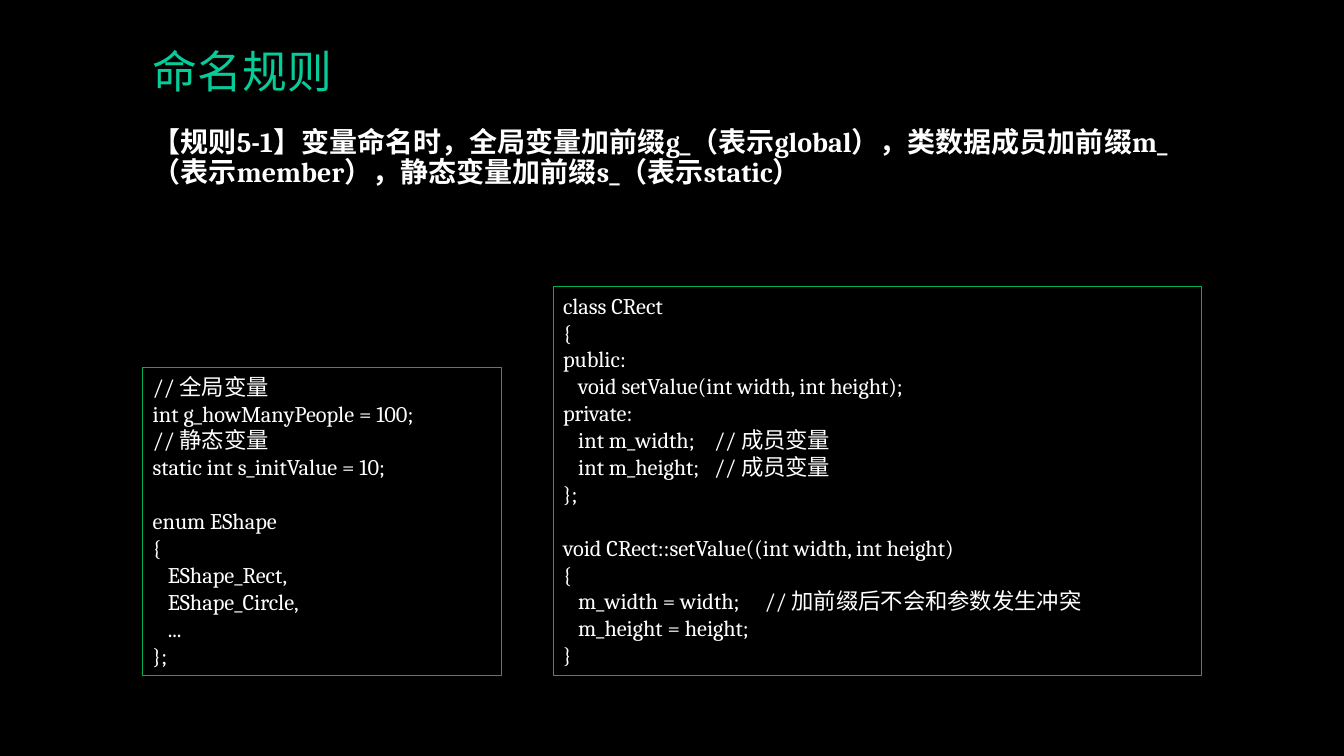
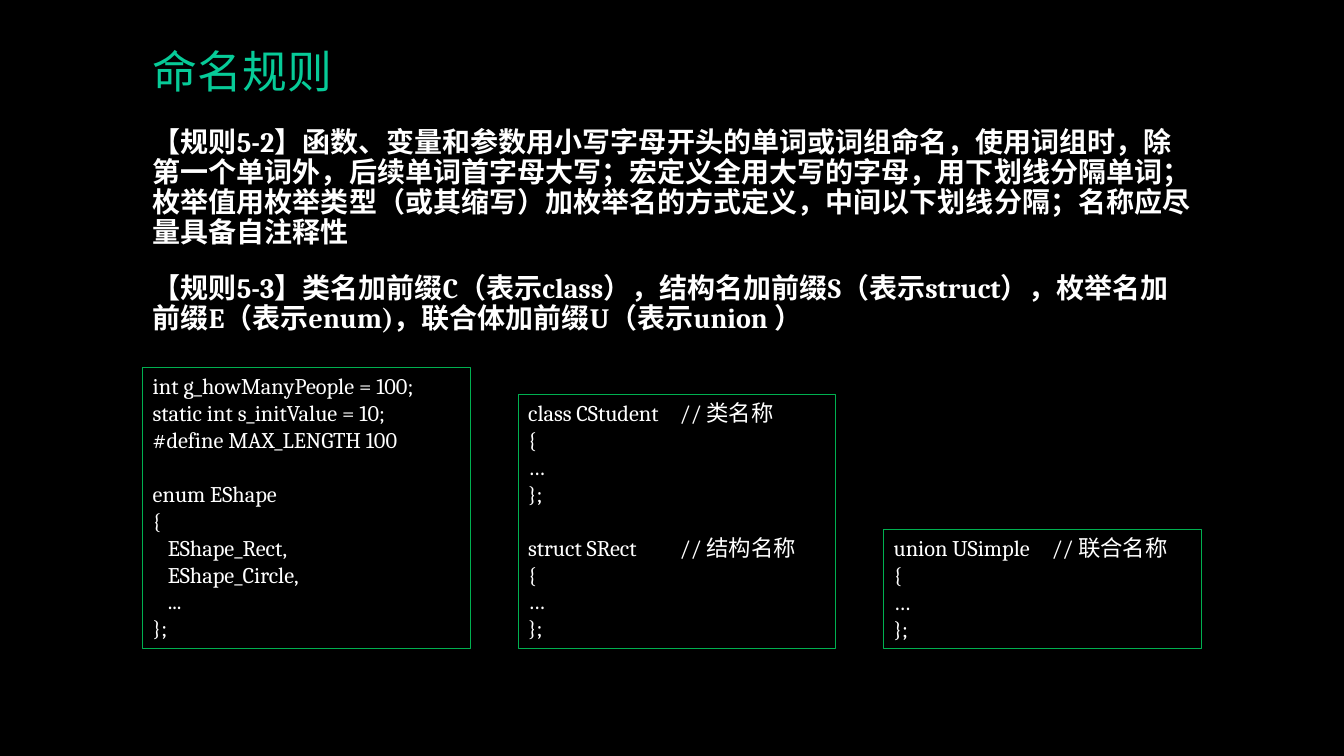
"""Build two slides on C++ naming rules."""
from dataclasses import dataclass

from lxml.etree import SubElement
from pptx import Presentation
from pptx.dml.color import RGBColor
from pptx.enum.lang import MSO_LANGUAGE_ID
from pptx.enum.text import MSO_ANCHOR, MSO_AUTO_SIZE, PP_ALIGN
from pptx.oxml.ns import qn
from pptx.util import Cm, Pt

COLORS = {"background": "000000", "title": "07CB98", "text": "FFFFFF", "border": "00B050"}
BASE_FONT = {"name": "Cambria", "language_id": MSO_LANGUAGE_ID.SIMPLIFIED_CHINESE}
TITLE_FONT = BASE_FONT | {"size": Pt(32), "bold": False}
RULE_FONT = BASE_FONT | {"size": Pt(20), "bold": True}
CODE_FONT = BASE_FONT | {"size": Pt(16)}
TITLE_PARA = {"alignment": PP_ALIGN.LEFT, "line_spacing": 0.9}
RULE_PARA = {"line_spacing": 0.9, "space_before": Pt(18)}
FRAME = {"word_wrap": True, "auto_size": MSO_AUTO_SIZE.NONE, "vertical_anchor": MSO_ANCHOR.TOP}
TITLE_FRAME = FRAME | {"vertical_anchor": MSO_ANCHOR.BOTTOM}

LEFT, WIDTH = 3.6, 26.67
LINE_HEIGHT, BOX_PADDING = 0.68, 0.28
CODE_INDENT = Cm(0.38)
BLOCK_GAP = Pt(19.3)


@dataclass(frozen=True)
class Line:
    text: str
    indented: bool = False


@dataclass(frozen=True)
class CodeBox:
    width: float
    blocks: list[list[Line]]
    comment_tab: float = 0

    @property
    def height(self) -> float:
        rows = sum(len(block) for block in self.blocks) + len(self.blocks) - 1
        return rows * LINE_HEIGHT + BOX_PADDING


@dataclass(frozen=True)
class RuleSlide:
    title: str
    rules: list[str]
    rules_height: float
    boxes: list[CodeBox]
    bottom: float


def code(*texts: str) -> list[Line]:
    return [Line(text) for text in texts]


def body(*texts: str) -> list[Line]:
    return [Line("{"), *(Line(text, True) for text in texts), Line("}")]


def declaration(head: str) -> list[Line]:
    return code(head, "{", "…", "};")


SHAPE_ENUM = [
    *code("enum EShape", "{"),
    *(Line(text, True) for text in ("EShape_Rect,", "EShape_Circle,", "...")),
    Line("};"),
]

SLIDES = [
    RuleSlide(
        "命名规则",
        ["【规则5-1】变量命名时，全局变量加前缀g_（表示global），类数据成员加前缀m_（表示member），"
         "静态变量加前缀s_（表示static）"],
        1.83,
        [
            CodeBox(9.04, [
                code("// 全局变量", "int g_howManyPeople = 100;",
                     "// 静态变量", "static int s_initValue = 10;"),
                SHAPE_ENUM,
            ]),
            CodeBox(16.33, [
                [
                    *code("class CRect", "{", "public:"),
                    Line("void setValue(int width, int height);", True),
                    Line("private:"),
                    Line("int m_width;\t// 成员变量", True),
                    Line("int m_height;\t// 成员变量", True),
                    Line("};"),
                ],
                [
                    Line("void CRect::setValue((int width, int height)"),
                    *body("m_width = width;\t// 加前缀后不会和参数发生冲突", "m_height = height;"),
                ],
            ], 7.64),
        ],
        17.03,
    ),
    RuleSlide(
        "命名规则",
        ["【规则5-2】函数、变量和参数用小写字母开头的单词或词组命名，使用词组时，除第一个单词外，"
         "后续单词首字母大写；宏定义全用大写的字母，用下划线分隔单词；枚举值用枚举类型（或其缩写）"
         "加枚举名的方式定义，中间以下划线分隔；名称应尽量具备自注释性",
         "【规则5-3】类名加前缀C（表示class），结构名加前缀S（表示struct），枚举名加前缀E（表示enum)，"
         "联合体加前缀U（表示union ）"],
        5.94,
        [
            CodeBox(8.25, [
                code("int g_howManyPeople = 100;", "static int s_initValue = 10;",
                     "#define MAX_LENGTH 100"),
                SHAPE_ENUM,
            ]),
            CodeBox(8, [
                declaration("class CStudent\t// 类名称"),
                declaration("struct SRect\t// 结构名称"),
            ], 3.82),
            CodeBox(8, [declaration("union USimple\t// 联合名称")], 3.98),
        ],
        16.34,
    ),
]


def apply(target, values: dict) -> None:
    for name, value in values.items():
        setattr(target, name, value)


def rgb(key: str) -> RGBColor:
    return RGBColor.from_string(COLORS[key])


def write(p, text: str, font: dict, color: str, para: dict) -> None:
    apply(p, para)
    r = p.add_run()
    r.text = text
    apply(r.font, font)
    r.font.color.rgb = rgb(color)


def next_paragraph(tf, index: int):
    return tf.add_paragraph() if index else tf.paragraphs[0]


def set_tabs(p, indented: bool, tab: float) -> None:
    props = p._p.get_or_add_pPr()
    if indented:
        props.set("marL", "0")
        props.set("indent", str(CODE_INDENT))
    if tab:
        tabs = SubElement(props, qn("a:tabLst"))
        SubElement(tabs, qn("a:tab"), pos=str(Cm(tab)), algn="l")


def add_title(s, text: str) -> None:
    sp = s.shapes.title
    apply(sp, {"left": Cm(LEFT), "top": Cm(1.02), "width": Cm(WIDTH), "height": Cm(1.57)})
    apply(sp.text_frame, TITLE_FRAME)
    write(sp.text_frame.paragraphs[0], text, TITLE_FONT, "title", TITLE_PARA)


def add_rules(s, rules: list[str], height: float) -> None:
    tf = s.shapes.add_textbox(Cm(LEFT), Cm(3.1), Cm(WIDTH), Cm(height)).text_frame
    apply(tf, FRAME)
    for i, rule in enumerate(rules):
        write(next_paragraph(tf, i), rule, RULE_FONT, "text", RULE_PARA)


def add_code_box(s, box: CodeBox, left: float, bottom: float) -> None:
    sp = s.shapes.add_textbox(Cm(left), Cm(bottom - box.height), Cm(box.width), Cm(box.height))
    sp.line.color.rgb = rgb("border")
    sp.line.width = Pt(0.75)
    tf = sp.text_frame
    apply(tf, FRAME)
    rows = [(line, b > 0 and i == 0)
            for b, block in enumerate(box.blocks) for i, line in enumerate(block)]
    for i, (line, starts_block) in enumerate(rows):
        p = next_paragraph(tf, i)
        write(p, line.text, CODE_FONT, "text", {"space_before": BLOCK_GAP if starts_block else Pt(0)})
        set_tabs(p, line.indented, box.comment_tab if "\t" in line.text else 0)


def add_rule_slide(prs, content: RuleSlide) -> None:
    s = prs.slides.add_slide(prs.slide_layouts.get_by_name("Title Only"))
    add_title(s, content.title)
    add_rules(s, content.rules, content.rules_height)
    boxes = content.boxes
    gap = (WIDTH - sum(box.width for box in boxes)) / (len(boxes) - 1)
    left = LEFT
    for box in boxes:
        add_code_box(s, box, left, content.bottom)
        left += box.width + gap


def main() -> None:
    prs = Presentation()
    apply(prs, {"slide_width": Cm(33.87), "slide_height": Cm(19.05)})
    fill = prs.slide_master.background.fill
    fill.solid()
    fill.fore_color.rgb = rgb("background")
    for content in SLIDES:
        add_rule_slide(prs, content)
    prs.save("out.pptx")


if __name__ == "__main__":
    main()
